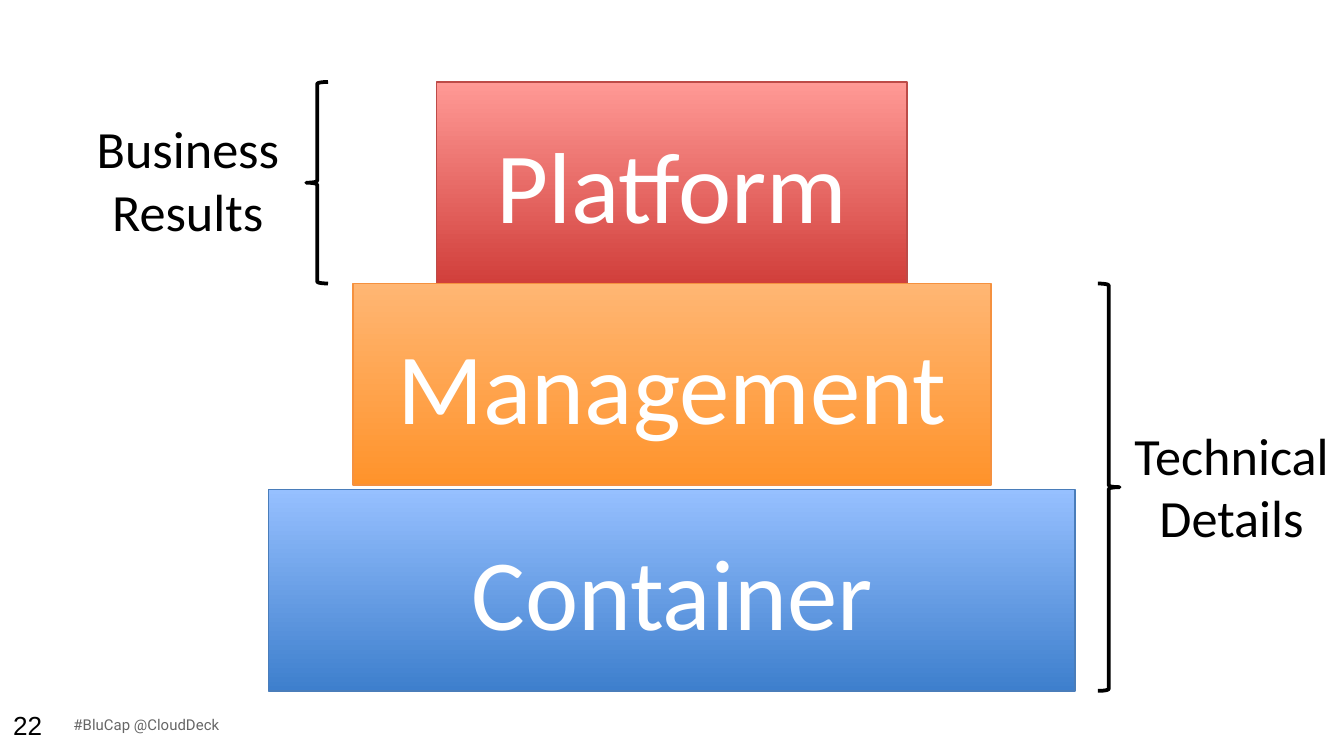
from pptx import Presentation
from pptx.dml.color import RGBColor
from pptx.enum.shapes import MSO_SHAPE as Shape
from pptx.enum.text import MSO_ANCHOR as Anchor, PP_ALIGN as Align
from pptx.util import Cm, Pt

COLOURS = {
    "black": "000000", "white": "FFFFFF", "grey": "666666",
    "red": "D13F3B", "red light": "FF9995", "red edge": "BD4B48",
    "orange": "FF932B", "orange light": "FFB673", "orange edge": "F5913F",
    "blue": "3E7FCD", "blue light": "96C0FF", "blue edge": "4A7DBA",
}
SLIDE_WIDTH, SLIDE_HEIGHT = 25.4, 14.29
TIER_HEIGHT = 3.81
PLATFORM_TOP, MANAGEMENT_TOP, CONTAINER_TOP = 1.55, 5.36, 9.25
BRACE_WIDTH = 0.41
FOOTER_TOP, FOOTER_HEIGHT = 13.16, 1.09


def colour(name):
    return RGBColor.from_string(COLOURS[name])


class StackSlide:
    """Holds the text style and the slide; all lengths are in centimetres."""

    font_name = "Calibri"
    tier_size = 54
    label_size = 28

    def __init__(self, slide):
        self.slide = slide

    def set_text(self, frame, lines, size, colour_name, font_name, align):
        frame.text = "\n".join(lines)
        for paragraph in frame.paragraphs:
            paragraph.alignment = align
            font = paragraph.font
            font.name, font.size = font_name, Pt(size)
            font.color.rgb = colour(colour_name)

    def tier(self, name, top, width, hue):
        """Add a centred block shaded from light at the top to dark."""
        left = (SLIDE_WIDTH - width) / 2
        shape = self.slide.shapes.add_shape(
            Shape.RECTANGLE, Cm(left), Cm(top), Cm(width), Cm(TIER_HEIGHT))
        shape.shadow.inherit = False
        shape.fill.gradient()
        shape.fill.gradient_angle = 90
        dark, light = shape.fill.gradient_stops
        dark.color.rgb, light.color.rgb = colour(hue), colour(f"{hue} light")
        shape.line.color.rgb = colour(f"{hue} edge")
        shape.line.width = Pt(0.75)
        shape.text_frame.vertical_anchor = Anchor.MIDDLE
        self.set_text(shape.text_frame, [name], self.tier_size, "white",
                      self.font_name, Align.CENTER)

    def brace(self, kind, left, top, bottom):
        shape = self.slide.shapes.add_shape(
            kind, Cm(left), Cm(top), Cm(BRACE_WIDTH), Cm(bottom - top))
        shape.shadow.inherit = False
        shape.fill.background()
        shape.line.color.rgb = colour("black")
        shape.line.width = Pt(2)

    def label(self, lines, left, top, width):
        box = self.slide.shapes.add_textbox(Cm(left), Cm(top), Cm(width), Cm(2.64))
        box.text_frame.word_wrap = True
        self.set_text(box.text_frame, lines, self.label_size, "black",
                      self.font_name, Align.CENTER)

    def footer(self, text, left, width, size, colour_name, font_name):
        box = self.slide.shapes.add_textbox(
            Cm(left), Cm(FOOTER_TOP), Cm(width), Cm(FOOTER_HEIGHT))
        frame = box.text_frame
        frame.word_wrap = True
        frame.vertical_anchor = Anchor.MIDDLE
        frame.margin_top = frame.margin_bottom = Cm(0.25)
        self.set_text(frame, [text], size, colour_name, font_name, Align.LEFT)


def main():
    presentation = Presentation()
    presentation.slide_width = Cm(SLIDE_WIDTH)
    presentation.slide_height = Cm(SLIDE_HEIGHT)
    stack = StackSlide(presentation.slides.add_slide(presentation.slide_layouts[6]))

    stack.footer("#BluCap @CloudDeck", 1.14, 21.29, 8, "grey", "Roboto")
    stack.tier("Platform", PLATFORM_TOP, 8.89, "red")
    stack.tier("Management", MANAGEMENT_TOP, 12.06, "orange")
    stack.tier("Container", CONTAINER_TOP, 15.24, "blue")
    stack.label(["Technical", "Details"], 21.08, 7.87, 4.39)
    stack.label(["Business", "Results"], 1.24, 2.08, 4.62)
    stack.brace(Shape.RIGHT_BRACE, 20.75, MANAGEMENT_TOP, CONTAINER_TOP + TIER_HEIGHT)
    stack.brace(Shape.LEFT_BRACE, 5.79, PLATFORM_TOP, MANAGEMENT_TOP)
    stack.footer("22", 0, 1.45, 14, "black", "Arial")

    presentation.save("out.pptx")


if __name__ == "__main__":
    main()
